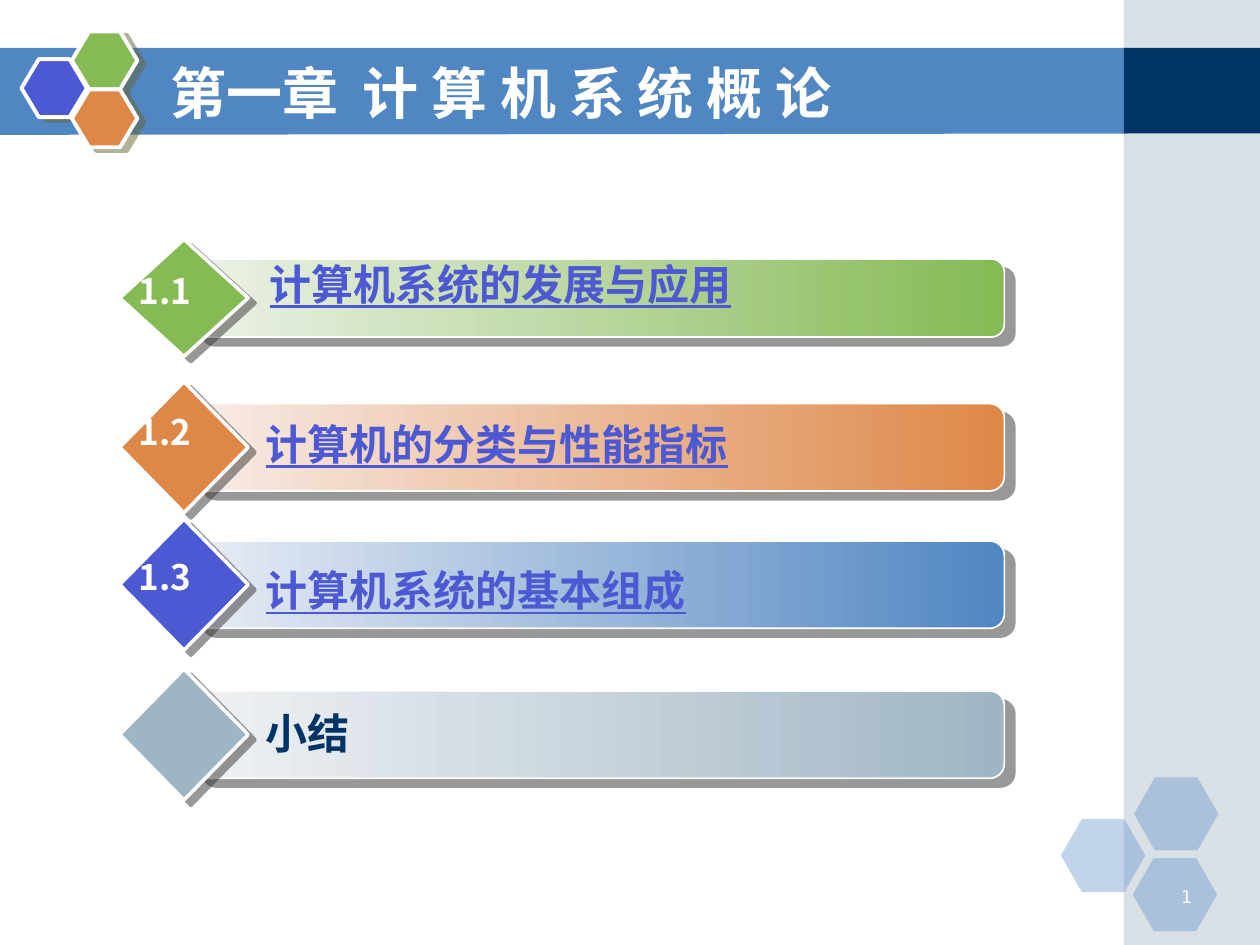
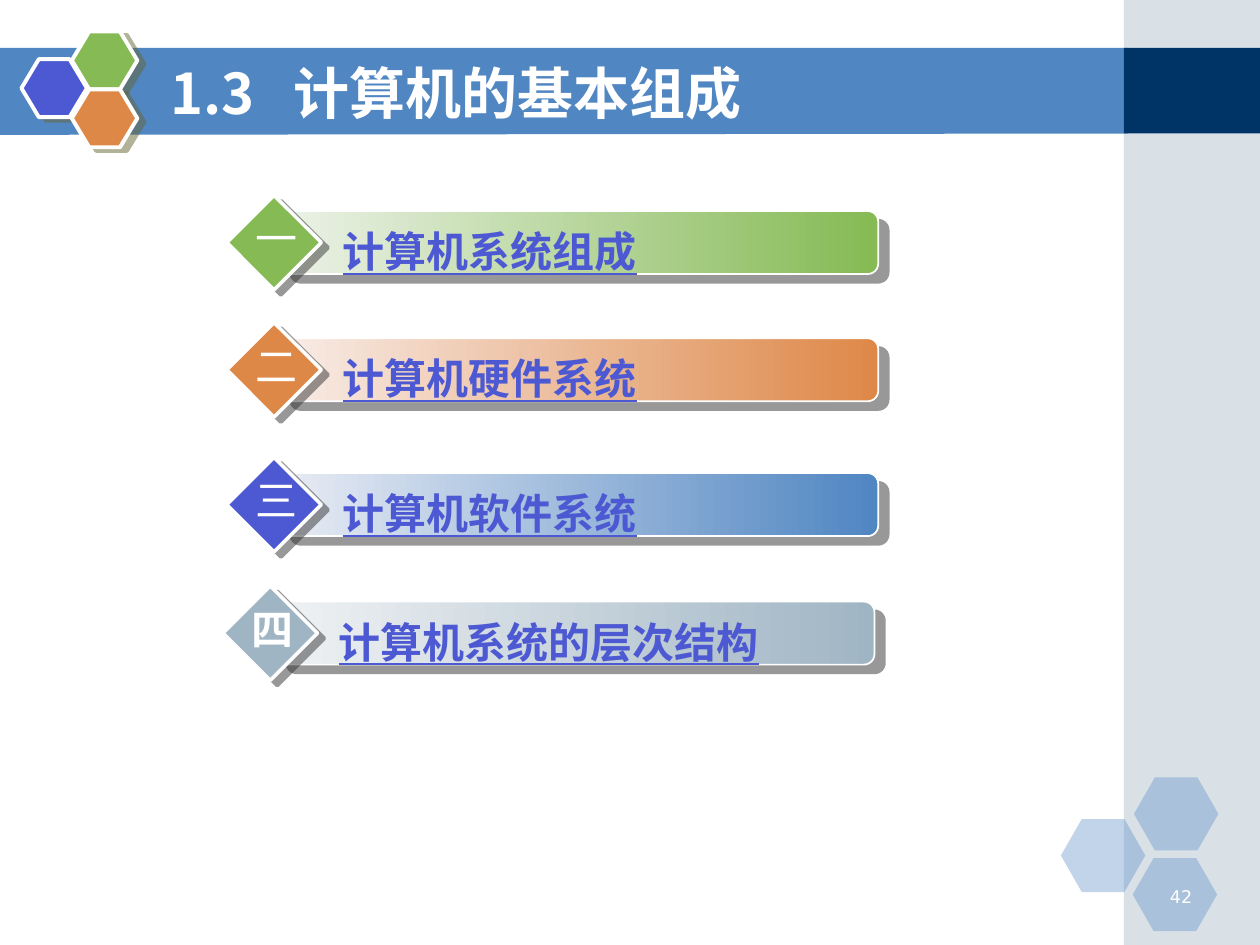
"""Builds two contents slides with a shared hexagon-and-band master."""
from dataclasses import dataclass

from lxml.etree import SubElement
from pptx import Presentation
from pptx.dml.color import RGBColor
from pptx.enum.shapes import MSO_SHAPE
from pptx.enum.text import MSO_ANCHOR, MSO_AUTO_SIZE, PP_ALIGN
from pptx.oxml.ns import qn
from pptx.util import Inches, Pt


@dataclass(frozen=True)
class Theme:
    white: str = "FFFFFF"
    navy: str = "003366"
    blue: str = "5086C2"
    indigo: str = "4C59D2"
    green: str = "85BA54"
    orange: str = "DE8848"
    steel: str = "A0B5C4"
    cjk: str = "Noto Sans CJK SC"
    latin: str = "Arial"
    number_font: str = "DejaVu Sans"
    title_size: int = 32
    item_size: int = 24
    label_size: int = 20
    number_size: int = 10
    logo_shadow: tuple = ("666633", 4.5, 27)
    bar_shadow: tuple = ("333333", 7.8, 40)
    diamond_shadow: tuple = ("333333", 5, 37)


T = Theme()

HUES = {
    "green": (T.green, "ECF2E8", T.green),
    "orange": (T.orange, "F8ECE7", T.orange),
    "blue": (T.indigo, "E8ECF4", T.blue),
    "steel": (T.steel, "EFF2F4", T.steel),
}

LOGO = [(0.17, 0.47, T.indigo), (0.57, 0.25, T.green), (0.57, 0.71, T.orange)]
CORNER = [(8.42, 6.5), (9, 6.17), (8.99, 6.81)]

SLIDES = [
    {
        "title": "第一章\t计 算 机 系 统 概 论", "tab": 1.53, "number": "1",
        "diamond_w": 1.02, "bar_w": 6.45, "text_w": 5.6, "label_dx": 0.05, "label_w": 0.81,
        "font": T.cjk, "label_size": T.label_size,
        "rows": [
            dict(label="1.1", text="计算机系统的发展与应用", hue="green", left=0.95, top=1.9,
                 height=0.93, text_dx=0.94, text_dy=0.1, label_dy=0.19),
            dict(label="1.2", text="计算机的分类与性能指标", hue="orange", left=0.95, top=3.03,
                 height=1.04, text_dx=0.91, text_dy=0.24, label_dy=0.18),
            dict(label="1.3", text="计算机系统的基本组成", hue="blue", left=0.95, top=4.12,
                 height=1.04, text_dx=0.91, text_dy=0.31, label_dy=0.24),
            dict(text="小结", hue="steel", left=0.95, top=5.31, height=1.04,
                 text_dx=0.91, text_dy=0.26, linked=False),
        ],
    },
    {
        "title": "1.3\t计算机的基本组成", "tab": 0.98, "number": "42",
        "diamond_w": 0.75, "bar_w": 4.75, "text_w": 3.75, "label_dx": 0.13, "label_w": 0.54,
        "font": T.latin, "label_size": T.item_size,
        "rows": [
            dict(label="一", text="计算机系统组成", hue="green", left=1.8, top=1.55, bold=False),
            dict(label="二", text="计算机硬件系统", hue="orange", left=1.8, top=2.56, bold=False),
            dict(label="三", text="计算机软件系统", hue="blue", left=1.8, top=3.63, bold=False),
            dict(label="四", text="计算机系统的层次结构", hue="steel", left=1.77, top=4.65),
        ],
    },
]
ROW_DEFAULTS = dict(label="", height=0.75, text_dx=0.67, text_dy=0.19, label_dy=0.09,
                    linked=True, bold=True)


def rgb(value):
    return RGBColor.from_string(value)


def add_alpha(color, percent):
    SubElement(color, qn("a:alpha"), val=str(percent * 1000))


def paint(sp, fill, line_w=0, shadow=None, alpha=None):
    if isinstance(fill, tuple):
        sp.fill.gradient()
        sp.fill.gradient_angle = 0
        for stop, value in zip(sp.fill.gradient_stops, fill):
            stop.color.rgb = rgb(value)
    else:
        sp.fill.solid()
        sp.fill.fore_color.rgb = rgb(fill)
    if alpha:
        add_alpha(sp.element.spPr.find(qn("a:solidFill"))[0], alpha)
    if line_w:
        sp.line.color.rgb = rgb(T.white)
        sp.line.width = Pt(line_w)
    else:
        sp.line.fill.background()
    sp.shadow.inherit = False
    if shadow:
        color, distance, angle = shadow
        effects = sp.element.spPr.find(qn("a:effectLst"))
        outer = SubElement(effects, qn("a:outerShdw"), blurRad="0", dist=str(int(Pt(distance))),
                           dir=str(angle * 60000), algn="ctr", rotWithShape="0")
        add_alpha(SubElement(outer, qn("a:srgbClr"), val=color), 50)
    return sp


def add_shape(s, kind, left, top, width, height, fill, adj=None, **style):
    sp = s.shapes.add_shape(kind, Inches(left), Inches(top), Inches(width), Inches(height))
    if adj:
        sp.adjustments[0] = adj
    return paint(sp, fill, **style)


def add_run(p, text, size, font, color, bold=True, underline=None):
    r = p.add_run()
    r.text = text
    r.font.size = Pt(size)
    r.font.name = font
    r.font.bold = bold
    r.font.underline = underline
    r.font.color.rgb = rgb(color)
    latin = r.font.element.find(qn("a:latin")) if hasattr(r.font, "element") else \
        r._r.rPr.find(qn("a:latin"))
    ea = latin.makeelement(qn("a:ea"), {"typeface": T.cjk})
    latin.addnext(ea)


def add_text(s, left, top, width, height, text, size, font, color, **style):
    sp = s.shapes.add_textbox(Inches(left), Inches(top), Inches(width), Inches(height))
    sp.text_frame.word_wrap = True
    add_run(sp.text_frame.paragraphs[0], text, size, font, color, **style)
    return sp.text_frame


def build_master(prs, s):
    band = s.shapes.build_freeform(Inches(-0.01), Inches(0.38))
    band.add_line_segments([(Inches(x), Inches(y)) for x, y in
                            [(8.95, 0.38), (8.95, 1.06), (-0.01, 1.07)]], close=True)
    parts = [
        paint(band.convert_to_shape(), T.blue),
        add_shape(s, MSO_SHAPE.RECTANGLE, 8.92, 0, 1.08, 7.5, T.steel, alpha=40),
        add_shape(s, MSO_SHAPE.RECTANGLE, 8.92, 0.38, 1.08, 0.68, T.navy),
    ]
    parts += [add_shape(s, MSO_SHAPE.HEXAGON, x, y, 0.67, 0.58, T.blue, adj=0.286, alpha=35)
              for x, y in CORNER]
    parts += [add_shape(s, MSO_SHAPE.HEXAGON, x, y, 0.52, 0.46, fill, adj=0.3, line_w=2.25,
                        shadow=T.logo_shadow) for x, y, fill in LOGO]
    first = prs.slide_master.placeholders[0].element
    for sp in parts:
        first.addprevious(sp.element)


def add_title(s, text, tab):
    sp = s.shapes.title
    sp.left, sp.top, sp.width, sp.height = map(Inches, (1.25, 0.42, 7.33, 0.62))
    tf = sp.text_frame
    tf.auto_size = MSO_AUTO_SIZE.NONE
    tf.vertical_anchor = MSO_ANCHOR.MIDDLE
    p = tf.paragraphs[0]
    p.alignment = PP_ALIGN.LEFT
    tabs = SubElement(p._p.get_or_add_pPr(), qn("a:tabLst"))
    SubElement(tabs, qn("a:tab"), pos=str(int(Inches(tab))), algn="l")
    add_run(p, text, T.title_size, T.cjk, T.white)


def add_row(s, deck, row):
    row = ROW_DEFAULTS | row
    left, top, height = row["left"], row["top"], row["height"]
    diamond_fill, pale, deep = HUES[row["hue"]]
    width = deck["diamond_w"]
    add_shape(s, MSO_SHAPE.ROUNDED_RECTANGLE, left + 0.56 * width, top + height / 6,
              deck["bar_w"], height * 2 / 3, (pale, deep), line_w=1, shadow=T.bar_shadow)
    add_shape(s, MSO_SHAPE.DIAMOND, left, top, width, height, diamond_fill,
              line_w=2, shadow=T.diamond_shadow)
    tf = add_text(s, left + row["text_dx"], top + row["text_dy"], deck["text_w"], 0.5,
                  row["text"], T.item_size, deck["font"],
                  T.indigo if row["linked"] else T.navy, underline=row["linked"])
    tf.margin_left = Inches(0.25)
    if row["label"]:
        add_text(s, left + deck["label_dx"], top + row["label_dy"], deck["label_w"], 0.44,
                 row["label"], deck["label_size"], deck["font"], T.white, bold=row["bold"])


def main():
    prs = Presentation()
    prs.slide_width, prs.slide_height = Inches(10), Inches(7.5)
    for i, deck in enumerate(SLIDES):
        s = prs.slides.add_slide(prs.slide_layouts[5])
        if i == 0:
            build_master(prs, s)
        tf = add_text(s, 9.06, 6.98, 0.5, 0.25, deck["number"], T.number_size,
                      T.number_font, T.white, bold=False)
        tf.paragraphs[0].alignment = PP_ALIGN.RIGHT
        add_title(s, deck["title"], deck["tab"])
        for row in deck["rows"]:
            add_row(s, deck, row)
    prs.save("out.pptx")


if __name__ == "__main__":
    main()
